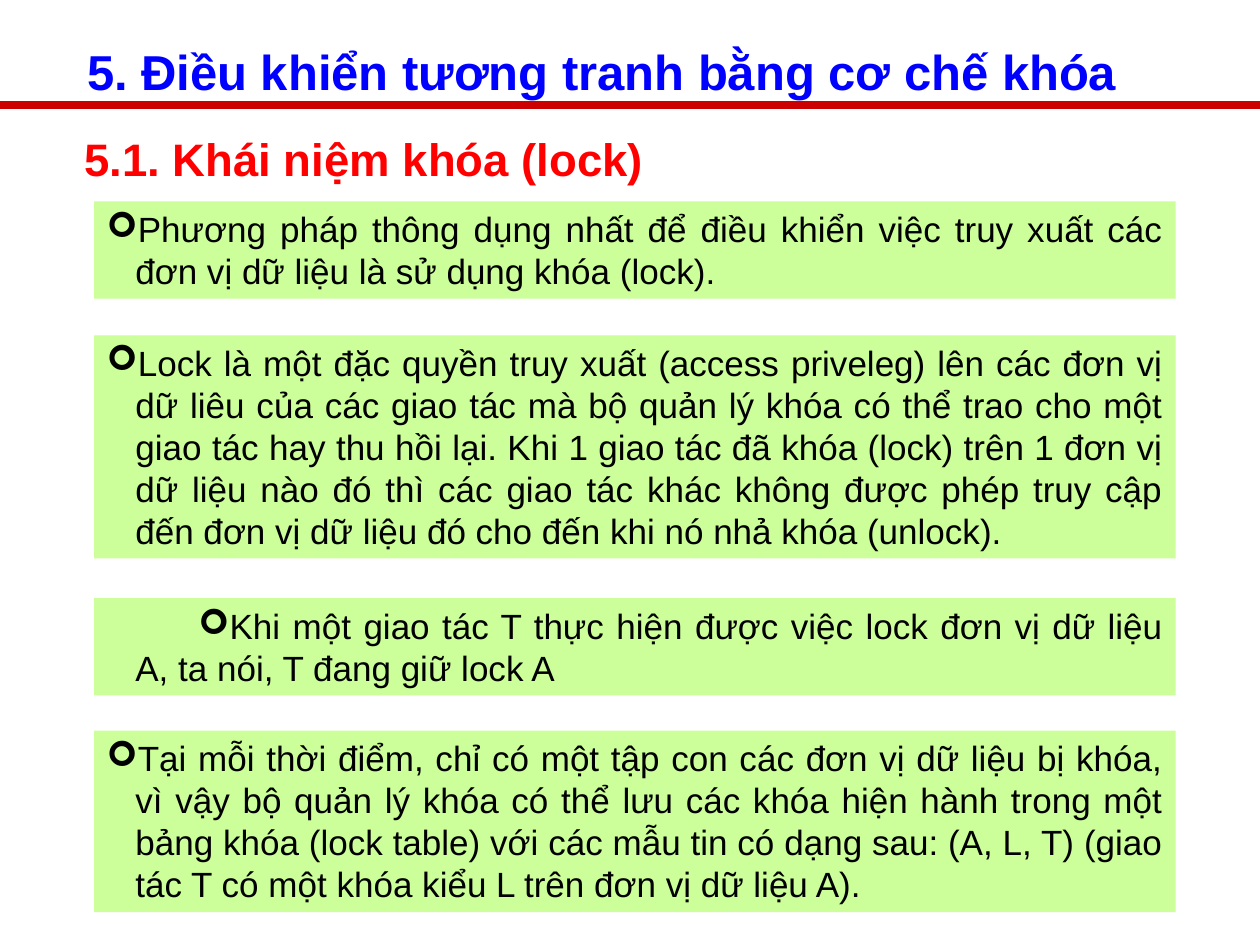
import pptx
import pptx.util
import pptx.dml.color
import pptx.enum.shapes
import pptx.enum.text
import pptx.oxml.ns
import lxml.etree

Cm = pptx.util.Cm
RGBColor = pptx.dml.color.RGBColor
ALIGN = pptx.enum.text.PP_ALIGN
ANCHOR = pptx.enum.text.MSO_ANCHOR

BLUE = RGBColor(0x00, 0x00, 0xFF)
RED = RGBColor(0xFF, 0x00, 0x00)
DARK_RED = RGBColor(0xCC, 0x00, 0x00)
GREEN = RGBColor(0xCC, 0xFF, 0x99)
BLACK = RGBColor(0x00, 0x00, 0x00)

PANEL_LEFT, PANEL_WIDTH = 1.9, 21.8
HANGING = 0.58

PANELS = [
    (4.06, 1.96, -HANGING, ANCHOR.MIDDLE,
     "Phương pháp thông dụng nhất để điều khiển việc truy xuất các đơn vị "
     "dữ liệu là sử dụng khóa (lock)."),
    (6.76, 4.5, -HANGING, ANCHOR.TOP,
     "Lock là một đặc quyền truy xuất (access priveleg) lên các đơn vị dữ liêu "
     "của các giao tác mà bộ quản lý khóa có thể trao cho một giao tác hay thu "
     "hồi lại. Khi 1 giao tác đã khóa (lock) trên 1 đơn vị dữ liệu nào đó thì "
     "các giao tác khác không được phép truy cập đến đơn vị dữ liệu đó cho đến "
     "khi nó nhả khóa (unlock)."),
    (12.06, 1.96, 1.27, ANCHOR.MIDDLE,
     "Khi một giao tác T thực hiện được việc lock đơn vị dữ liệu A, ta nói, "
     "T đang giữ lock A"),
    (14.73, 3.66, -HANGING, ANCHOR.TOP,
     "Tại mỗi thời điểm, chỉ có một tập con các đơn vị dữ liệu bị khóa, vì vậy "
     "bộ quản lý khóa có thể lưu các khóa hiện hành trong một bảng khóa (lock "
     "table) với các mẫu tin có dạng sau: (A, L, T) (giao tác T có một khóa "
     "kiểu L trên đơn vị dữ liệu A)."),
]


def sub_element(parent, tag, **attributes):
    return lxml.etree.SubElement(parent, pptx.oxml.ns.qn(tag), attributes)


def write(para, text, size, color, align, bold=False):
    para.alignment = align
    span = para.add_run()
    span.text = text
    span.font.name = "Arial"
    span.font.size = pptx.util.Pt(size)
    span.font.bold = bold
    span.font.color.rgb = color


def add_rule(page, left, top, width):
    rule = page.shapes.add_connector(
        pptx.enum.shapes.MSO_CONNECTOR.STRAIGHT,
        Cm(left), Cm(top), Cm(left + width), Cm(top))
    rule.line.color.rgb = DARK_RED
    rule.line.width = pptx.util.Pt(4.5)
    sub_element(rule._element.spPr, "a:effectLst")
    page.shapes._spTree.insert(2, rule._element)


def fill_heading(box, left, top, width, height, text, size, color, anchor):
    box.left, box.top = Cm(left), Cm(top)
    box.width, box.height = Cm(width), Cm(height)
    frame = box.text_frame
    frame.auto_size = pptx.enum.text.MSO_AUTO_SIZE.NONE
    frame.word_wrap = False
    frame.vertical_anchor = anchor
    write(frame.paragraphs[0], text, size, color, ALIGN.LEFT, bold=True)


def add_panel(page, left, top, width, height, indent, anchor, text):
    panel = page.shapes.add_shape(
        pptx.enum.shapes.MSO_SHAPE.RECTANGLE,
        Cm(left), Cm(top), Cm(width), Cm(height))
    panel.shadow.inherit = False
    panel.fill.solid()
    panel.fill.fore_color.rgb = GREEN
    panel.line.fill.background()
    frame = panel.text_frame
    frame.word_wrap = True
    frame.vertical_anchor = anchor
    para = frame.paragraphs[0]
    settings = para._p.get_or_add_pPr()
    settings.set("marL", str(Cm(HANGING)))
    settings.set("indent", str(Cm(indent)))
    bullet_color = sub_element(settings, "a:buClr")
    sub_element(bullet_color, "a:srgbClr", val=str(BLACK))
    sub_element(settings, "a:buFont", typeface="Wingdings")
    sub_element(settings, "a:buChar", char="➢")
    write(para, text, 20, BLACK, ALIGN.JUSTIFY)


def main():
    deck = pptx.Presentation()
    deck.slide_width, deck.slide_height = Cm(25.4), Cm(19.05)
    page = deck.slides.add_slide(deck.slide_layouts.get_by_name("Title Only"))
    add_rule(page, 0, 2.11, 25.4)
    fill_heading(page.shapes.title, 1.5, 0.71, 21.26, 1.45,
                 "5. Điều khiển tương tranh bằng cơ chế khóa",
                 28, BLUE, ANCHOR.MIDDLE)
    fill_heading(page.shapes.add_textbox(0, 0, 0, 0), 1.45, 2.51, 11.79, 1.37,
                 "5.1. Khái niệm khóa (lock)", 26, RED, ANCHOR.TOP)
    for top, height, indent, anchor, text in PANELS:
        add_panel(page, PANEL_LEFT, top, PANEL_WIDTH, height,
                  indent, anchor, text)
    deck.save("out.pptx")


if __name__ == "__main__":
    main()
